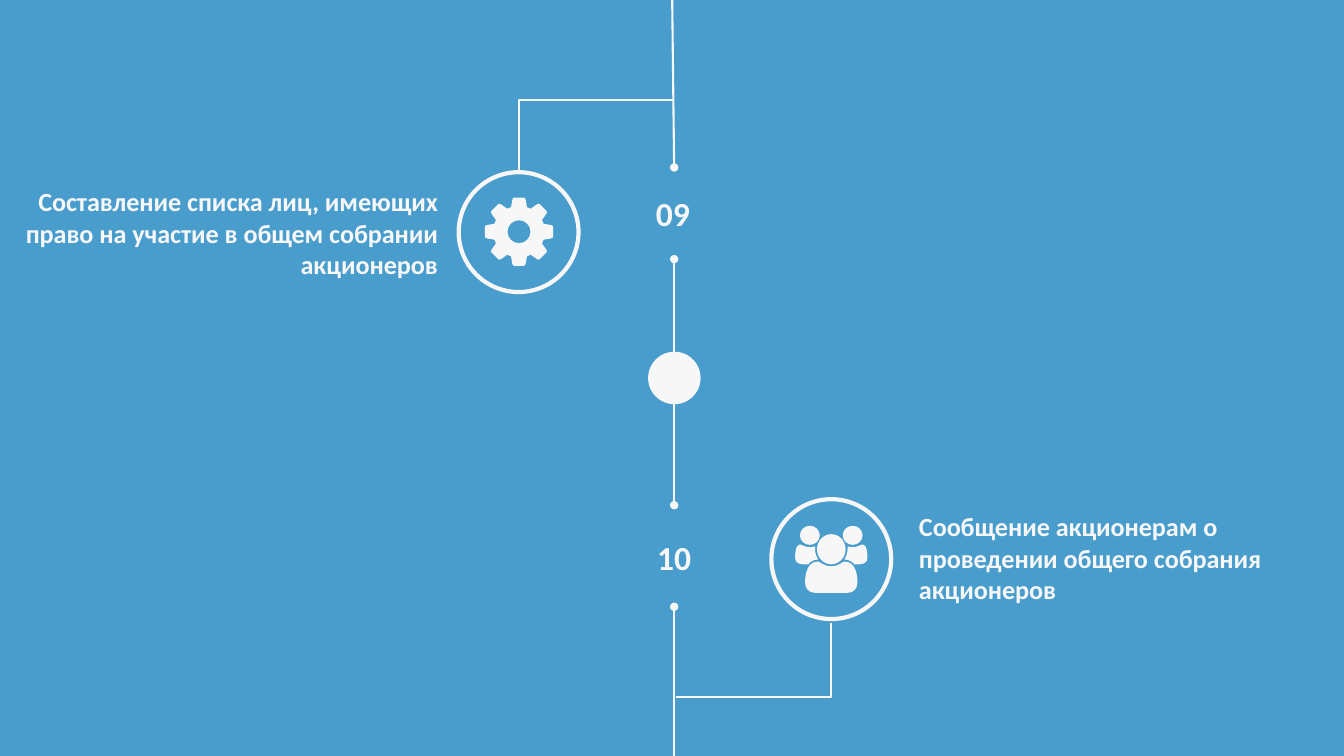
from dataclasses import dataclass
from math import cos, pi, sin

from lxml import etree
from pptx import Presentation
from pptx.dml.color import RGBColor
from pptx.enum import shapes as sh, text as tx
from pptx.oxml import ns
from pptx.util import Cm, Pt


@dataclass
class Theme:
    blue = RGBColor.from_string("499DCC")
    pale = RGBColor.from_string("F7F7F7")
    font = "Calibri"
    num = Pt(24)
    body = Pt(18.67)
    thin = Pt(1.5)
    thick = Pt(3)


look = Theme()
deck = Presentation()
deck.slide_width, deck.slide_height = Cm(33.87), Cm(19.05)
slide = deck.slides.add_slide(deck.slide_layouts[6])
items = slide.shapes


def label(words, box, size, side, wrap):
    note = items.add_textbox(*map(Cm, box))
    frame = note.text_frame
    frame.margin_left = frame.margin_right = 0
    frame.margin_top = frame.margin_bottom = 0
    frame.word_wrap = wrap
    frame.auto_size = tx.MSO_AUTO_SIZE.SHAPE_TO_FIT_TEXT
    frame.vertical_anchor = tx.MSO_ANCHOR.MIDDLE
    para = frame.paragraphs[0]
    para.alignment = side
    run = para.add_run()
    run.text = words
    run.font.name, run.font.size, run.font.bold = look.font, size, True
    run.font.color.rgb = look.pale


def trace(loops):
    """Draw loops (a start, then two handles and an end per curve) as one shape."""
    pen = None
    for loop in loops:
        dots = [(Cm(x), Cm(y)) for x, y in loop]
        if pen is None:
            pen = items.build_freeform(*dots[0], scale=1.0)
        else:
            pen.move_to(*dots[0])
        pen.add_line_segments(dots[1:], close=True)
    icon = pen.convert_to_shape()
    icon.shadow.inherit = False
    icon.fill.solid()
    icon.fill.fore_color.rgb = look.pale
    icon.line.fill.background()
    # Join each three straight steps into one Bezier curve
    steps = list(icon._element.iter(ns.qn("a:lnTo")))
    for one, two, end in zip(steps[::3], steps[1::3], steps[2::3]):
        for step in (two, end):
            step.getparent().remove(step)
            one.append(step[0])
        one.tag = ns.qn("a:cubicBezTo")


# Background
slide.background.fill.solid()
slide.background.fill.fore_color.rgb = look.pale
back = items.add_shape(sh.MSO_SHAPE.RECTANGLE, 0, 0, deck.slide_width, deck.slide_height)
back.shadow.inherit = False
back.fill.solid()
back.fill.fore_color.rgb = look.blue
back.line.fill.background()

# Time line and its two bent branches: kind, start, end, round ends
axis = 16.99
mid = 9.53
line, bent = sh.MSO_CONNECTOR.STRAIGHT, sh.MSO_CONNECTOR.ELBOW
links = [
    (line, (axis, 15.29), (axis, 19.05), ["headEnd"]),
    (line, (axis, mid), (axis, 12.73), ["headEnd", "tailEnd"]),
    (line, (axis, 6.53), (axis, mid), ["headEnd", "tailEnd"]),
    (line, (16.94, 0), (axis, 4.22), ["tailEnd"]),
    (bent, (15.95, 5.41), (14.1, 1.5), []),
    (bent, (18.07, 14.68), (19.92, 18.59), []),
]
for kind, start, end, tips in links:
    link = items.add_connector(kind, *map(Cm, start + end))
    link.line.color.rgb = look.pale
    link.line.width = look.thin
    props = link._element.spPr
    for tip in tips:
        etree.SubElement(link.line._get_or_add_ln(), ns.qn("a:" + tip), type="oval")
    etree.SubElement(props, ns.qn("a:effectLst"))
    if kind == bent:
        props.find(ns.qn("a:xfrm")).set("rot", "5400000")
        props.find(ns.qn("a:prstGeom")).set("prst", "bentConnector2")

# Middle dot and icon rings: left, top, diameter, line, filled
rounds = [
    (16.36, 8.89, 1.27, look.thin, True),
    (11.56, 4.34, 3.02, look.thick, False),
    (19.44, 12.58, 3.02, look.thick, False),
]
for left, top, size, width, full in rounds:
    ring = items.add_shape(sh.MSO_SHAPE.OVAL, Cm(left), Cm(top), Cm(size), Cm(size))
    ring.shadow.inherit = False
    if full:
        ring.fill.solid()
        ring.fill.fore_color.rgb = look.pale
    else:
        ring.fill.background()
    ring.line.color.rgb = look.pale
    ring.line.width = width

# Step numbers and texts
left, right = tx.PP_ALIGN.LEFT, tx.PP_ALIGN.RIGHT
label("09", (16.53, 4.85, 0.86, 1.02), look.num, left, False)
label("10", (16.56, 13.53, 0.86, 1.02), look.num, left, False)
label("Составление списка лиц, имеющих право на участие в общем собрании акционеров",
      (0.5, 4.67, 10.53, 2.39), look.body, right, True)
label("Сообщение акционерам о проведении общего собрания акционеров",
      (23.16, 12.86, 10.62, 2.39), look.body, left, True)

# Circle of radius one in four curves
bow = 0.55
disc = [(1, 0), (1, bow), (bow, 1), (0, 1), (-bow, 1), (-1, bow), (-1, 0),
        (-1, -bow), (-bow, -1), (0, -1), (bow, -1), (1, -bow), (1, 0)]

# Gear: eight teeth around a hole
hub = (13.08, 5.84)
tooth = [(-0.2, 0.62), (-0.17, 0.8), (-0.17, 0.86), (-0.12, 0.86),
         (-0.04, 0.86), (0.04, 0.86), (0.12, 0.86),
         (0.17, 0.86), (0.17, 0.8), (0.2, 0.62), (0.2, 0.62), (0.2, 0.62)]
turns = [k * pi / 4 for k in range(8)]
rim = [(hub[0] + x * cos(a) + y * sin(a), hub[1] + x * sin(a) - y * cos(a))
       for a in turns for x, y in tooth]
hole = [(hub[0] + 0.29 * x, hub[1] - 0.29 * y) for x, y in disc]
trace([rim + rim[:1], hole])

# People: three heads, a front body and two mirrored side bodies
core = 20.95
heads = [(-0.54, 13.49, 0.25, 0.24), (0, 13.84, 0.36, 0.38), (0.54, 13.49, 0.25, 0.24)]
crowd = [[(core + x + w * u, y + h * v) for u, v in disc] for x, y, w, h in heads]
front = [(0.41, 14.94), (0.14, 14.94), (-0.14, 14.94), (-0.41, 14.94),
         (-0.56, 14.94), (-0.66, 14.83), (-0.66, 14.68),
         (-0.66, 14.48), (-0.61, 14.15), (-0.33, 14.15),
         (-0.28, 14.15), (-0.2, 14.27), (0, 14.27),
         (0.2, 14.27), (0.28, 14.15), (0.33, 14.15),
         (0.61, 14.15), (0.66, 14.48), (0.66, 14.68),
         (0.66, 14.83), (0.56, 14.94), (0.41, 14.94)]
flank = [(-0.58, 14.22), (-0.62, 14.22), (-0.67, 14.22), (-0.71, 14.22),
         (-0.81, 14.22), (-0.91, 14.17), (-0.91, 14.07),
         (-0.91, 13.97), (-0.91, 13.72), (-0.79, 13.72),
         (-0.76, 13.72), (-0.66, 13.79), (-0.53, 13.79),
         (-0.48, 13.79), (-0.46, 13.79), (-0.41, 13.77),
         (-0.41, 13.79), (-0.41, 13.82), (-0.41, 13.84),
         (-0.41, 13.92), (-0.38, 14.02), (-0.33, 14.1),
         (-0.43, 14.1), (-0.53, 14.15), (-0.58, 14.22)]
for body, sign in [(front, 1), (flank, 1), (flank, -1)]:
    crowd.append([(core + sign * x, y) for x, y in body])
trace(crowd)

deck.save("out.pptx")
